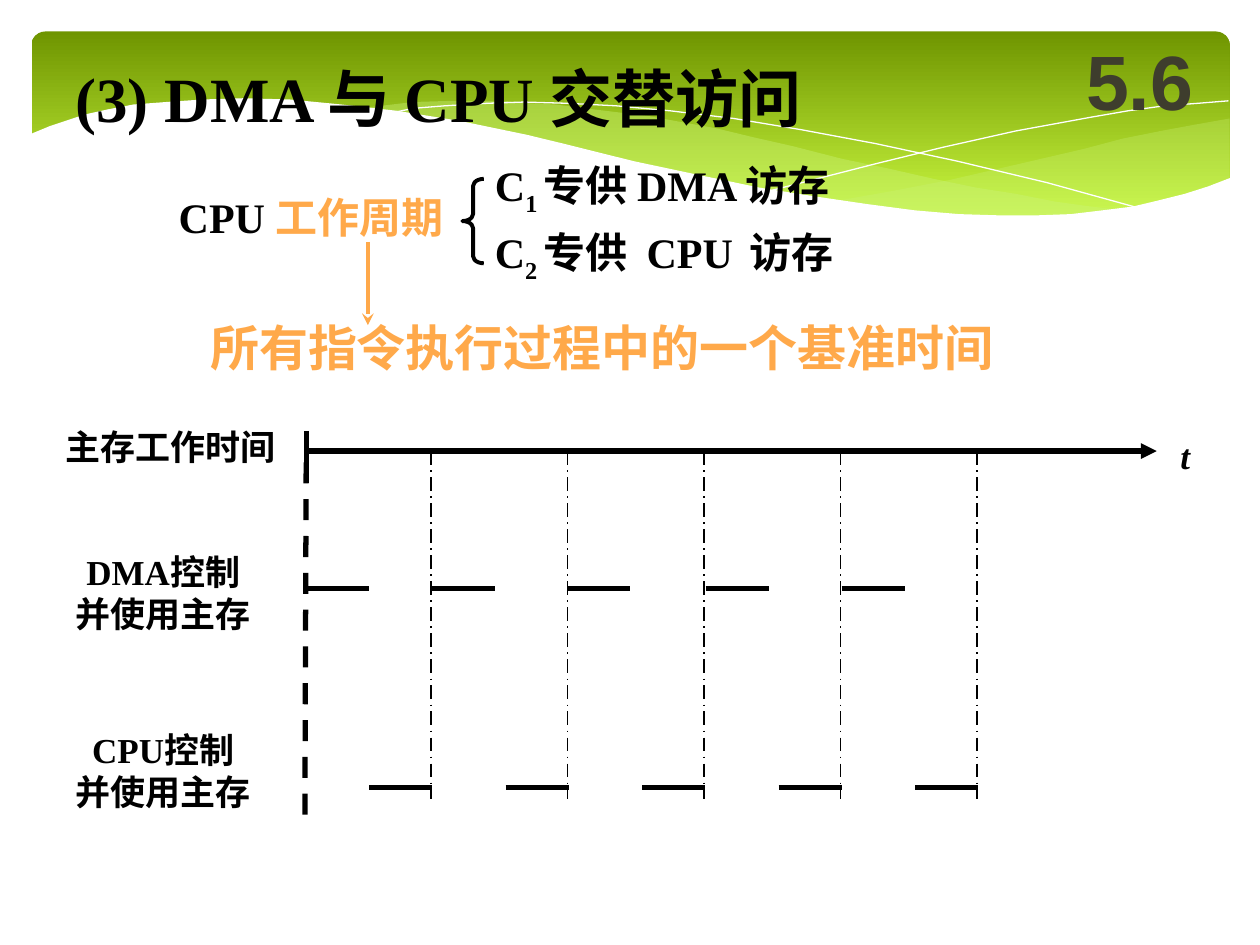
"""Build the slide on DMA and CPU taking turns to access main memory."""
from lxml.etree import SubElement
from pptx import Presentation
from pptx.dml.color import RGBColor
from pptx.enum.dml import MSO_LINE
from pptx.enum.shapes import MSO_CONNECTOR, MSO_SHAPE
from pptx.enum.text import MSO_ANCHOR, PP_ALIGN
from pptx.oxml.ns import qn
from pptx.util import Inches, Pt

BLACK, WHITE, ORANGE, PALE = "000000", "FFFFFF", "FFA94A", "CAF278"
SERIF = "Times New Roman"

RIGHT_WAVE = [
    (9.76, 0.94), (9.48, 0.99), (9.21, 1.04), (8.91, 1.1), (8.61, 1.18), (8.05, 1.31),
    (7.53, 1.43), (7.06, 1.52), (6.61, 1.6), (6.91, 1.64), (7.18, 1.67), (7.45, 1.69),
    (7.69, 1.71), (7.92, 1.72), (8.24, 1.72), (8.54, 1.7), (8.81, 1.67), (9.05, 1.63),
    (9.28, 1.58), (9.49, 1.52), (9.63, 1.47), (9.76, 1.41)]
MIDDLE_WAVE = [
    (8.93, 1.67), (8.66, 1.64), (8.37, 1.6), (8.07, 1.54), (7.75, 1.49), (7.41, 1.42),
    (7.06, 1.34), (6.68, 1.26), (6.29, 1.16), (5.98, 1.09), (5.69, 1.02), (5.41, 0.97),
    (5.14, 0.92), (4.89, 0.89), (4.64, 0.86), (4.41, 0.83), (4.2, 0.82), (3.99, 0.8),
    (3.61, 0.8), (3.28, 0.81), (2.86, 0.86), (3.23, 0.9), (3.62, 0.97), (4.04, 1.06),
    (4.49, 1.16), (4.91, 1.26), (5.3, 1.35), (5.66, 1.43), (6.01, 1.5), (6.34, 1.56),
    (6.65, 1.61), (6.95, 1.65), (7.22, 1.68), (7.48, 1.7), (7.73, 1.72), (8.07, 1.73),
    (8.38, 1.72), (8.67, 1.7)]
FALLING_CURVE = [
    (3.09, 0.9), (3.28, 0.86), (3.53, 0.84), (3.87, 0.82), (4.16, 0.81), (4.5, 0.82),
    (4.89, 0.84), (5.32, 0.88), (5.82, 0.94), (6.36, 1.03), (6.95, 1.14), (7.6, 1.28),
    (8.31, 1.45), (9.07, 1.66)]
RISING_CURVE = [
    (6.13, 1.51), (6.52, 1.41), (6.95, 1.3), (7.48, 1.17), (8.06, 1.04), (8.66, 0.93),
    (8.95, 0.88), (9.24, 0.84), (9.51, 0.82), (9.75, 0.8)]
WHITE_EDGE = [
    (9.77, 1.41), (9.59, 1.48), (9.4, 1.54), (9.2, 1.59), (8.99, 1.64), (8.75, 1.67),
    (8.5, 1.7), (8.23, 1.71), (7.93, 1.71), (7.61, 1.7), (7.26, 1.67), (6.88, 1.62),
    (6.47, 1.56), (6.03, 1.49), (5.55, 1.39), (5.03, 1.28), (4.47, 1.14), (4.18, 1.07),
    (3.65, 0.96), (3.15, 0.88), (2.71, 0.83), (2.3, 0.79), (1.93, 0.78), (1.61, 0.79),
    (1.32, 0.81), (1.06, 0.83), (0.85, 0.87), (0.67, 0.91), (0.52, 0.96), (0.4, 1),
    (0.23, 1.07), (0.23, 2.24), (9.77, 2.24)]
WAVES = [
    (RIGHT_WAVE, PALE, 29, True), (MIDDLE_WAVE, PALE, 40, True),
    (FALLING_CURVE, WHITE, 100, False), (RISING_CURVE, WHITE, 100, False),
    (WHITE_EDGE, WHITE, 100, True)]

TEXTS = [
    ((0.5, 0.42, 6.92, 0.7), [[("(3) DMA 与 CPU 交替访问", {})]], {"size": 36}),
    ((1.32, 1.47, 2.52, 0.5), [[("CPU ", {}), ("工作周期", {"color": ORANGE})]], {"size": 24}),
    ((3.83, 1.22, 4.42, 0.56),
     [[("C", {}), ("1 ", {"base": -25}), ("专供 DMA 访存", {})]], {"size": 24}),
    ((3.83, 1.75, 3.83, 0.56),
     [[("C", {}), ("2 ", {"base": -25}), ("专供  CPU ", {}), (" ", {"size": 14}),
       ("访存", {})]], {"size": 24}),
    ((1.57, 2.47, 7.6, 0.57), [[("所有指令执行过程中的一个基准时间", {})]],
     {"size": 28, "color": ORANGE}),
    ((0.42, 3.33, 1.87, 0.44), [[("主存工作时间", {})]], {"wrap": False}),
    ((0.5, 4.32, 1.59, 0.77), [[("DMA控制", {})], [("并使用主存", {})]],
     {"wrap": False, "align": PP_ALIGN.CENTER}),
    ((0.5, 5.73, 1.59, 0.77), [[("CPU控制", {})], [("并使用主存", {})]],
     {"wrap": False, "align": PP_ALIGN.CENTER}),
    ((9.27, 3.4, 0.27, 0.44), [[("t", {"italic": True})]], {"wrap": False}),
    ((8.42, 0.17, 1.25, 0.92), [[("5.6", {})]],
     {"size": 44, "name": "Arial", "color": "3E3D2D", "align": PP_ALIGN.CENTER,
      "anchor": MSO_ANCHOR.MIDDLE}),
]

AXIS_LEFT, AXIS_Y, DMA_Y, CPU_Y = 2.43, 3.58, 4.67, 6.25
DMA_STARTS = [AXIS_LEFT, 3.43, 4.5, 5.6, 6.68]
FIRST_TICK, FIRST_CPU, PERIOD, SLOT = 3.42, 2.93, 13 / 12, 0.5


def rgb(value):
    """Turn a hex string into a colour."""
    return RGBColor.from_string(value)


def add_wave(page, points, color, alpha, filled):
    """Draw a filled wave or a thin open curve."""
    (start, *rest) = [(Inches(x), Inches(y)) for x, y in points]
    builder = page.shapes.build_freeform(*start)
    builder.add_line_segments(rest, close=filled)
    wave = builder.convert_to_shape()
    wave.shadow.inherit = False
    if filled:
        wave.fill.solid()
        wave.fill.fore_color.rgb = rgb(color)
        tint = wave.fill._xPr.find(".//" + qn("a:srgbClr"))
        SubElement(tint, qn("a:alpha"), val=str(alpha * 1000))
        wave.line.fill.background()
    else:
        wave.fill.background()
        wave.line.color.rgb = rgb(color)
        wave.line.width = Pt(0)


def add_banner(page):
    """Draw the green header with its waves."""
    banner = page.shapes.add_shape(
        MSO_SHAPE.ROUNDED_RECTANGLE, *map(Inches, (0.25, 0.25, 9.51, 1.56)))
    banner.adjustments[0] = 0.07
    banner.shadow.inherit = False
    banner.line.fill.background()
    banner.fill.gradient()
    banner.fill.gradient_angle = 270
    for stop, color in zip(banner.fill.gradient_stops, ("6F9500", "D0FF44")):
        stop.color.rgb = rgb(color)
    for wave in WAVES:
        add_wave(page, *wave)


def add_text(page, place, paragraphs, style):
    """Add a text box of styled paragraphs."""
    box = page.shapes.add_textbox(*map(Inches, place))
    frame = box.text_frame
    frame.word_wrap = style.get("wrap", True)
    frame.vertical_anchor = style.get("anchor", MSO_ANCHOR.TOP)
    for index, spans in enumerate(paragraphs):
        para = frame.add_paragraph() if index else frame.paragraphs[0]
        para.alignment = style.get("align", PP_ALIGN.LEFT)
        for text, changes in spans:
            look = {"size": 20, "name": SERIF, "color": BLACK, **style, **changes}
            span = para.add_run()
            span.text = text
            values = {"size": Pt(look["size"]), "name": look["name"], "bold": True,
                      "italic": look.get("italic", False)}
            for key, value in values.items():
                setattr(span.font, key, value)
            span.font.color.rgb = rgb(look["color"])
            if "base" in look:
                span.font._element.set("baseline", str(look["base"] * 1000))


def add_line(page, start, end, width=3, color=BLACK, dash=None, arrow=None):
    """Draw a straight line, dashed or with an arrowhead if asked."""
    line = page.shapes.add_connector(MSO_CONNECTOR.STRAIGHT, *map(Inches, start + end))
    line.line.color.rgb = rgb(color)
    line.line.width = Pt(width)
    if dash:
        line.line.dash_style = dash
    if arrow:
        SubElement(line.line._get_or_add_ln(), qn("a:tailEnd"), type=arrow)
    SubElement(line._element.spPr, qn("a:effectLst"))


def add_timeline(page):
    """Draw the time axis, the period ticks and the memory slots."""
    add_line(page, (AXIS_LEFT, 3.42), (AXIS_LEFT, 3.83))
    add_line(page, (AXIS_LEFT, AXIS_Y), (9.18, AXIS_Y), arrow="triangle")
    add_line(page, (AXIS_LEFT, 3.67), (2.42, 6.5), dash=MSO_LINE.DASH)
    for index, dma in enumerate(DMA_STARTS):
        tick, cpu = FIRST_TICK + index * PERIOD, FIRST_CPU + index * PERIOD
        add_line(page, (dma, DMA_Y), (dma + SLOT, DMA_Y))
        add_line(page, (cpu, CPU_Y), (cpu + SLOT, CPU_Y))
        add_line(page, (tick, AXIS_Y), (tick, 6.34), 1, dash=MSO_LINE.LONG_DASH_DOT)


def add_brace(page):
    """Draw the brace that splits the CPU cycle in two."""
    brace = page.shapes.add_shape(
        MSO_SHAPE.LEFT_BRACE, *map(Inches, (3.67, 1.42, 0.17, 0.67)))
    brace.adjustments[0] = 0.33
    brace.shadow.inherit = False
    brace.fill.background()
    brace.line.color.rgb = rgb(BLACK)
    brace.line.width = Pt(2.25)


def main():
    """Build and save the deck."""
    deck = Presentation()
    deck.slide_width, deck.slide_height = Inches(10), Inches(7.5)
    page = deck.slides.add_slide(deck.slide_layouts[6])
    add_banner(page)
    add_timeline(page)
    add_brace(page)
    for text in TEXTS:
        add_text(page, *text)
    add_line(page, (2.92, 1.92), (2.92, 2.58), 2.25, ORANGE, arrow="stealth")
    deck.save("out.pptx")


if __name__ == "__main__":
    main()
